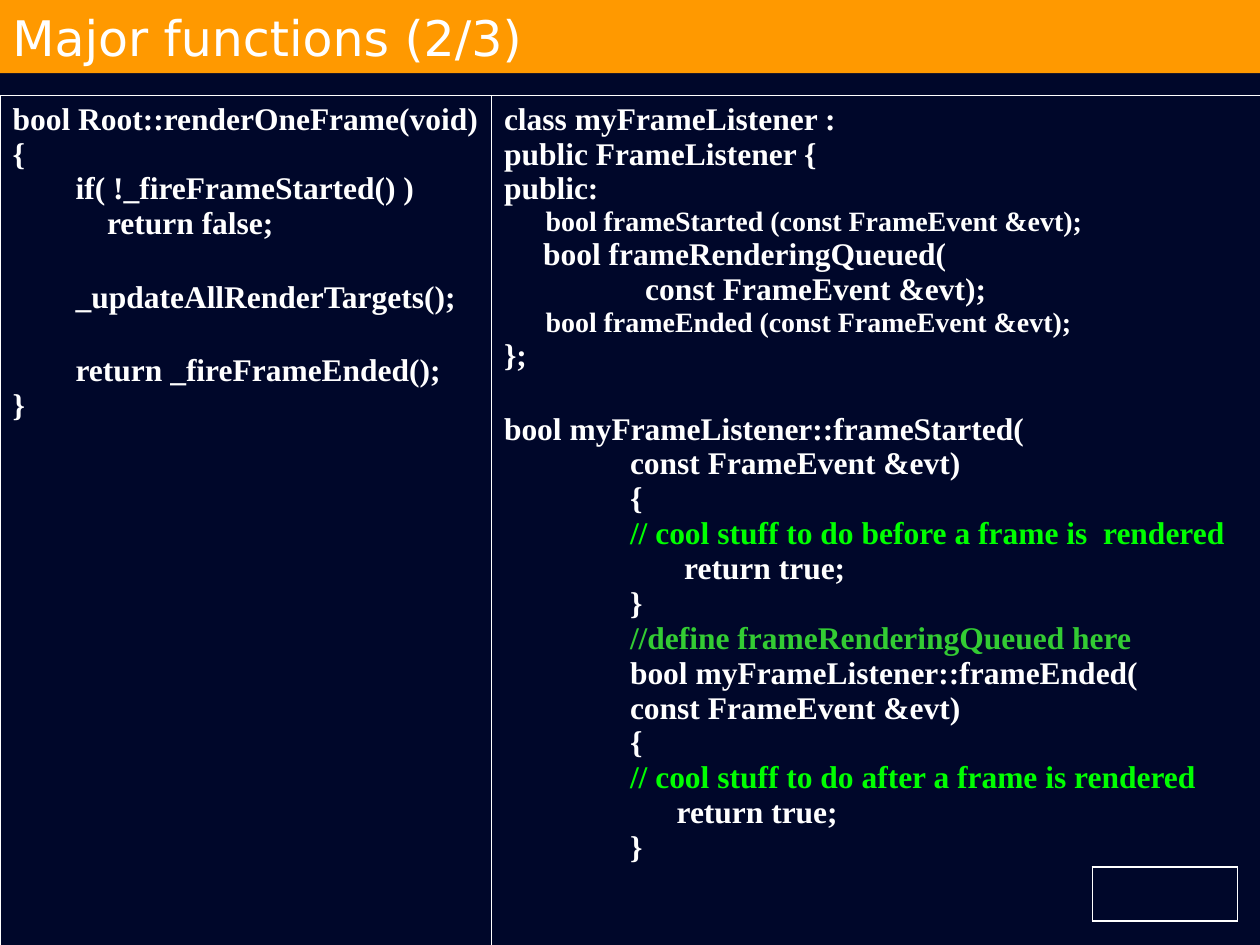
from lxml import etree
from pptx import Presentation
from pptx.dml.color import RGBColor
from pptx.enum.shapes import MSO_SHAPE
from pptx.enum.text import MSO_ANCHOR, PP_ALIGN
from pptx.oxml.ns import qn
from pptx.util import Inches, Pt

RECT = MSO_SHAPE.RECTANGLE
MIDDLE = MSO_ANCHOR.MIDDLE
LEFT = PP_ALIGN.LEFT

COLORS = {
    "back": "00072A",
    "bar": "FF9900",
    "text": "FFFFFF",
    "comment": "00FF00",
    "note": "33CC33",
}
BLANK_LINE = 22  # points of space that part two code blocks
THIN, THICK = 0.45, 1.47  # table border widths in points

# Code lines: indent in inches, text, then any style that differs
RENDER_CODE = [
    (0, "bool Root::renderOneFrame(void)", {}),
    (0, "{", {}),
    (0.5, "if( !_fireFrameStarted() )", {}),
    (0.75, "return false;", {}),
    (0.5, "_updateAllRenderTargets();", {"before": BLANK_LINE}),
    (0.5, "return _fireFrameEnded();", {"before": BLANK_LINE}),
    (0, "}", {}),
]
LISTENER_CODE = [
    (0, "class myFrameListener :", {}),
    (0, "public FrameListener {", {}),
    (0, "public:", {}),
    (0.33, "bool frameStarted (const FrameEvent &evt);", {"size": 16}),
    (0.31, "bool frameRenderingQueued(", {}),
    (1.12, "const FrameEvent &evt);", {}),
    (0.33, "bool frameEnded (const FrameEvent &evt);", {"size": 16}),
    (0, "};", {}),
    (0, "bool myFrameListener::frameStarted(", {"before": BLANK_LINE}),
    (1, "const FrameEvent &evt)", {}),
    (1, "{", {}),
    (1, "// cool stuff to do before a frame is  rendered", {"color": "comment"}),
    (1.43, "return true;", {}),
    (1, "}", {}),
    (1, "//define frameRenderingQueued here", {"color": "note"}),
    (1, "bool myFrameListener::frameEnded(", {}),
    (1, "const FrameEvent &evt)", {}),
    (1, "{", {}),
    (1, "// cool stuff to do after a frame is rendered", {"color": "comment"}),
    (1.37, "return true;", {}),
    (1, "}", {}),
]


class Deck:
    """Holds the style and the current slide."""

    title_font = "DejaVu Sans"
    code_font = "Times New Roman"

    def __init__(self, prs):
        self.s = prs.slides.add_slide(prs.slide_layouts[6])
        self.paint(self.s.background.fill, "back")

    def rgb(self, name):
        return RGBColor.from_string(COLORS[name])

    def paint(self, fill, color):
        fill.solid()
        fill.fore_color.rgb = self.rgb(color)

    def style(self, p, font, size, color, bold=False):
        p.alignment = LEFT
        p.font.name = font
        p.font.size = Pt(size)
        p.font.bold = bold
        p.font.color.rgb = self.rgb(color)

    def title_bar(self, text, width, height):
        sp = self.s.shapes.add_shape(RECT, 0, 0, Inches(width), Inches(height))
        sp.shadow.inherit = False
        self.paint(sp.fill, "bar")
        sp.line.fill.background()
        tf = sp.text_frame
        tf.word_wrap = True
        tf.vertical_anchor = MIDDLE
        p = tf.paragraphs[0]
        p.text = text
        self.style(p, self.title_font, 28, "text")

    def border(self, cell, top, bottom):
        tc_pr = cell._tc.get_or_add_tcPr()
        sides = {"lnL": THIN, "lnR": THIN, "lnT": top, "lnB": bottom}
        for i, (side, width) in enumerate(sides.items()):
            ln = etree.Element(qn("a:" + side), w=str(Pt(width)))
            fill = etree.SubElement(ln, qn("a:solidFill"))
            etree.SubElement(fill, qn("a:srgbClr"), val=COLORS["text"])
            tc_pr.insert(i, ln)

    def code(self, cell, lines):
        tf = cell.text_frame
        for i, (indent, text, look) in enumerate(lines):
            p = tf.add_paragraph() if i else tf.paragraphs[0]
            p.text = text
            p.space_before = Pt(look.get("before", 0))
            self.style(p, self.code_font, look.get("size", 18),
                       look.get("color", "text"), bold=True)
            p_pr = p._p.get_or_add_pPr()
            p_pr.set("marL", str(Inches(indent)))
            p_pr.set("indent", "0")

    def table(self, left, top, widths, heights):
        frame = self.s.shapes.add_table(
            len(heights), len(widths), Inches(left), Inches(top),
            Inches(sum(widths)), Inches(sum(heights)))
        table = frame.table
        table.first_row = table.horz_banding = False
        for column, width in zip(table.columns, widths):
            column.width = Inches(width)
        for row, height in zip(table.rows, heights):
            row.height = Inches(height)
        return table

    def code_table(self, top, widths, heights, blocks):
        table = self.table(0, top, widths, heights)
        for i, lines in enumerate(blocks):
            upper, lower = table.cell(0, i), table.cell(1, i)
            upper.fill.background()
            lower.fill.background()
            self.border(upper, THIN, THICK)
            self.border(lower, THICK, THIN)
            self.code(upper, lines)

    def corner_table(self, left, top, width, height):
        table = self.table(left, top, [width], [height])
        self.paint(table.cell(0, 0).fill, "back")


def main():
    prs = Presentation()
    prs.slide_width, prs.slide_height = Inches(10), Inches(7.5)
    deck = Deck(prs)

    # Title
    deck.title_bar("Major functions (2/3)", 10, 0.58)

    # Code side by side
    deck.code_table(0.76, (3.9, 6.1), (6.94, 6.74),
                    (RENDER_CODE, LISTENER_CODE))

    # Plain cell in the lower right corner
    deck.corner_table(8.67, 6.88, 1.15, 0.43)

    prs.save("out.pptx")


if __name__ == "__main__":
    main()
